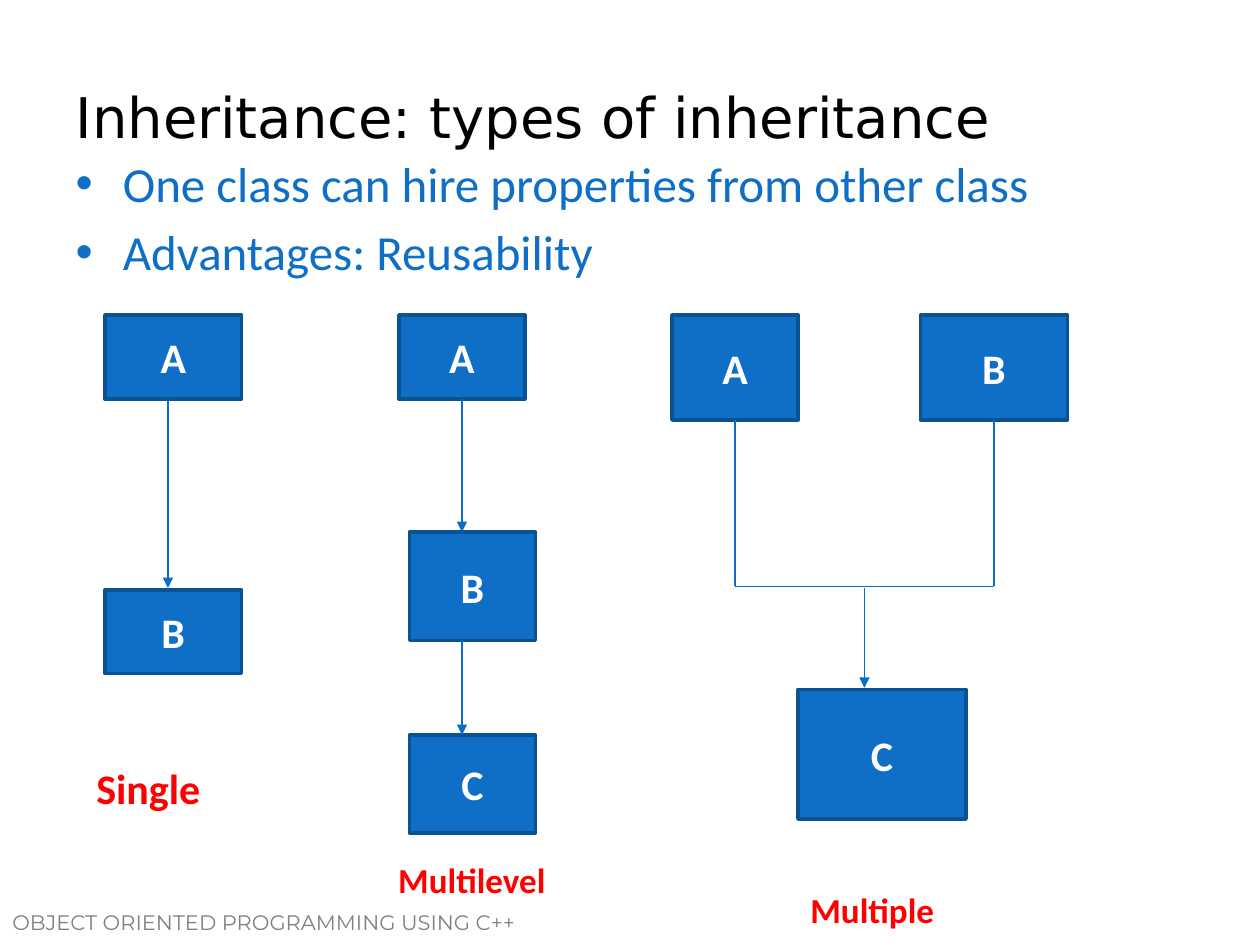
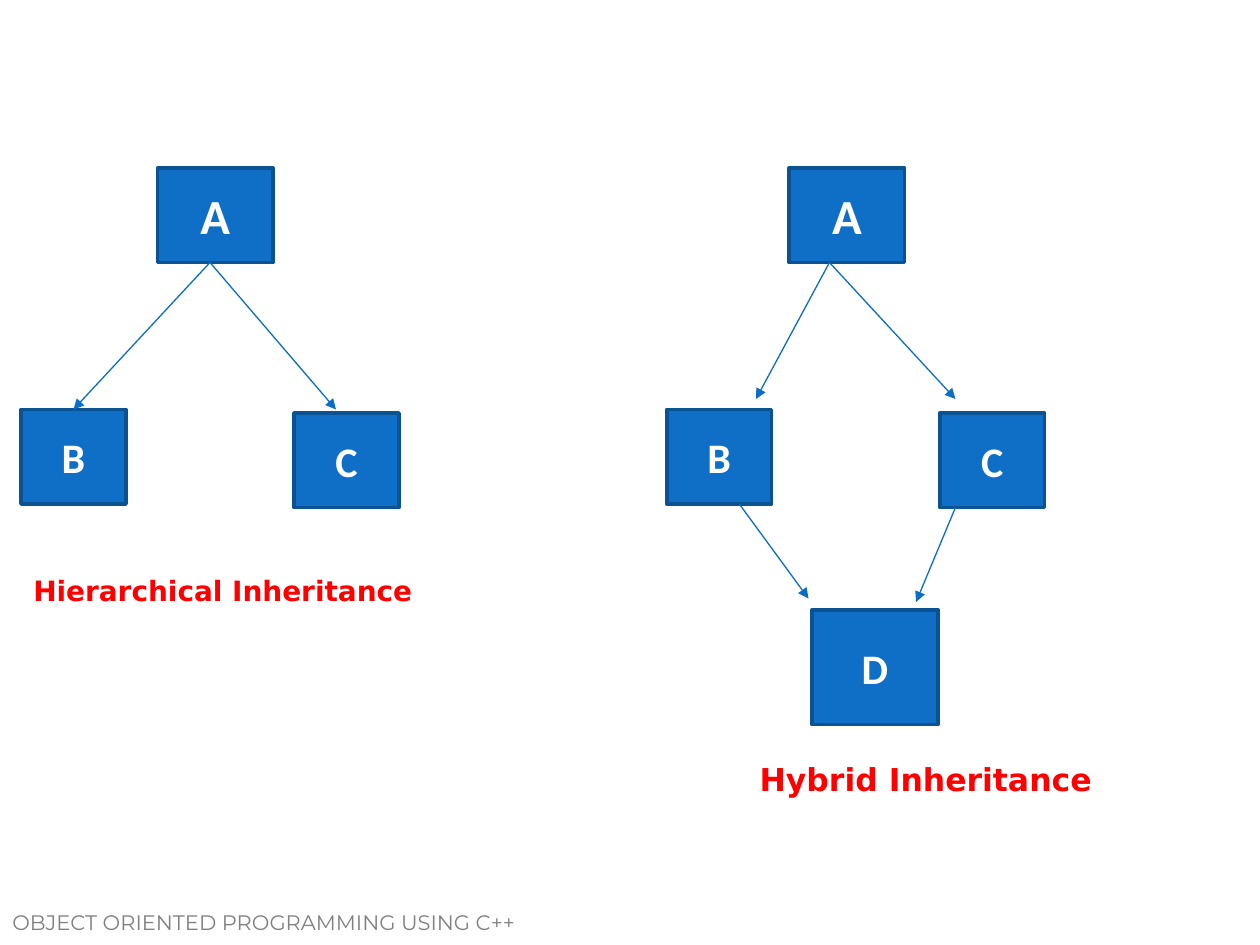
import pptx
import pptx.util
import pptx.dml.color
import pptx.enum.shapes
import pptx.enum.text
import pptx.oxml
import pptx.oxml.ns

Pt = pptx.util.Pt
ALIGN = pptx.enum.text.PP_ALIGN
ANCHOR = pptx.enum.text.MSO_ANCHOR

COLOURS = {"blue": "0F6FC6", "edge": "0B5292", "arrow": "0A6DC6", "caption": "FF0000",
           "title": "000000", "footer": "808080", "white": "FFFFFF"}
TEXT_FONT, HEADING_FONT, FOOTER_FONT = "Calibri", "DejaVu Sans", "Montserrat"
LETTER_SIZE = 24

# Content: boxes are (left, top, width, height[, letter size]);
# arrows are (parent box, start x, end x, end y) and leave the parent's bottom edge;
# a join is (left parent, right parent, bar y, arrow end y);
# a caption is (text, left, top, width, height, size, font)
FOOTER = "OBJECT ORIENTED PROGRAMMING USING C++"
SLIDES = [
    {
        "title": "Inheritance: types of inheritance",
        "points": ["One class can hire properties from other class",
                   "Advantages: Reusability"],
        "diagrams": [
            {"boxes": {"A": (60, 180, 78, 48), "B": (60, 337, 78, 48)},
             "arrows": [("A", 96, 96, 336)],
             "caption": ("Single", 48, 432, 75, 36, 24, TEXT_FONT)},
            {"boxes": {"A": (228, 180, 72, 48), "B": (234, 304, 72, 62),
                       "C": (234, 420, 72, 56)},
             "arrows": [("A", 264, 264, 304), ("B", 264, 264, 420)],
             "caption": ("Multilevel", 220.5, 487, 99.5, 31.5, 20, TEXT_FONT)},
            {"boxes": {"A": (384, 180, 72, 60), "B": (526, 180, 84, 60),
                       "C": (456, 394, 96, 74)},
             "join": ("A", "B", 335, 393),
             "caption": ("Multiple", 456, 504, 85.5, 31.5, 20, TEXT_FONT)},
        ],
    },
    {
        "diagrams": [
            {"boxes": {"A": (90, 96, 66, 54, 28), "B": (12, 234, 60, 54),
                       "C": (168, 236, 60, 54)},
             "arrows": [("A", 120, 42, 234), ("A", 120, 192, 234)],
             "caption": ("Hierarchical Inheritance", 12, 324, 252, 48, 16, HEADING_FONT)},
            {"boxes": {"A": (451, 96, 66, 54, 28), "B": (381, 234, 60, 54),
                       "C": (537, 236, 60, 54), "D": (464, 348.5, 72, 65.5)},
             "arrows": [("A", 474, 432, 228), ("A", 474, 546, 228),
                        ("B", 422.5, 462, 342), ("C", 546, 523.5, 344)],
             "caption": ("Hybrid Inheritance", 427, 430.5, 208, 51, 18, HEADING_FONT)},
        ],
    },
]


def colour(name):
    return pptx.dml.color.RGBColor.from_string(COLOURS[name])


def place(shape, left, top, width, height):
    shape.left, shape.top, shape.width, shape.height = map(Pt, (left, top, width, height))


def write(paragraph, text, size, font, colour_name, bold=False, align=None):
    run = paragraph.add_run()
    run.text = text
    run.font.size, run.font.name, run.font.bold = Pt(size), font, bold
    run.font.color.rgb = colour(colour_name)
    paragraph.alignment = align


def add_label(slide, text, left, top, width, height, size, font, colour_name, bold, wrap):
    label = slide.shapes.add_textbox(Pt(left), Pt(top), Pt(width), Pt(height))
    label.text_frame.word_wrap = wrap
    write(label.text_frame.paragraphs[0], text, size, font, colour_name, bold)
    return label


def add_class_box(slide, letter, left, top, width, height, size=LETTER_SIZE):
    box = slide.shapes.add_shape(pptx.enum.shapes.MSO_SHAPE.RECTANGLE,
                                 Pt(left), Pt(top), Pt(width), Pt(height))
    box.shadow.inherit = False
    box.fill.solid()
    box.fill.fore_color.rgb = colour("blue")
    box.line.color.rgb = colour("edge")
    box.line.width = Pt(2)
    box.text_frame.vertical_anchor = ANCHOR.MIDDLE
    write(box.text_frame.paragraphs[0], letter, size, TEXT_FONT, "white", True, ALIGN.CENTER)


def add_line(slide, x1, y1, x2, y2, arrow=False):
    line = slide.shapes.add_connector(pptx.enum.shapes.MSO_CONNECTOR.STRAIGHT,
                                      Pt(x1), Pt(y1), Pt(x2), Pt(y2))
    line.line.color.rgb = colour("arrow")
    line.line.width = Pt(0.75)
    properties = line.element.spPr
    if arrow:
        head = pptx.oxml.parse_xml(
            f'<a:tailEnd {pptx.oxml.ns.nsdecls("a")} type="triangle"/>')
        properties.find(pptx.oxml.ns.qn("a:ln")).append(head)
    properties.append(pptx.oxml.parse_xml(f'<a:effectLst {pptx.oxml.ns.nsdecls("a")}/>'))


def add_diagram(slide, diagram):
    boxes = diagram["boxes"]
    for letter, geometry in boxes.items():
        add_class_box(slide, letter, *geometry)
    for parent, start_x, end_x, end_y in diagram.get("arrows", []):
        bottom = boxes[parent][1] + boxes[parent][3]
        add_line(slide, start_x, bottom, end_x, end_y, arrow=True)

    # Two parents meet on a bar, whose middle points to the child
    if "join" in diagram:
        *parents, bar_y, end_y = diagram["join"]
        centres = []
        for parent in parents:
            left, top, width, height = boxes[parent]
            centres.append(left + width / 2)
            add_line(slide, centres[-1], top + height, centres[-1], bar_y)
        add_line(slide, centres[0], bar_y, centres[1], bar_y)
        middle = sum(centres) / 2
        add_line(slide, middle, bar_y + 1, middle, end_y, arrow=True)

    text, left, top, width, height, size, font = diagram["caption"]
    add_label(slide, text, left, top, width, height, size, font, "caption", True, False)


def add_heading(slide, title, points):
    heading, body = slide.shapes.title, slide.placeholders[1]
    place(heading, 36, 21.6, 648, 90)
    heading.text_frame.vertical_anchor = ANCHOR.MIDDLE
    write(heading.text_frame.paragraphs[0], title, 32, HEADING_FONT, "title", align=ALIGN.LEFT)
    place(body, 36, 84, 648, 398)
    for number, point in enumerate(points):
        frame = body.text_frame
        paragraph = frame.add_paragraph() if number else frame.paragraphs[0]
        write(paragraph, point, 28, TEXT_FONT, "blue")


deck = pptx.Presentation()
deck.slide_width, deck.slide_height = Pt(720), Pt(540)
TITLE_AND_CONTENT, BLANK = deck.slide_layouts[1], deck.slide_layouts[6]

for content in SLIDES:
    slide = deck.slides.add_slide(TITLE_AND_CONTENT if "title" in content else BLANK)
    if "title" in content:
        add_heading(slide, content["title"], content["points"])
    for diagram in content["diagrams"]:
        add_diagram(slide, diagram)

# The footer is shared: it moves to the slide master
footer = add_label(deck.slides[0], FOOTER, 0, 516, 360, 30, 12, FOOTER_FONT, "footer", False, True)
deck.slide_master.shapes.element.append(footer.element)

deck.save("out.pptx")
